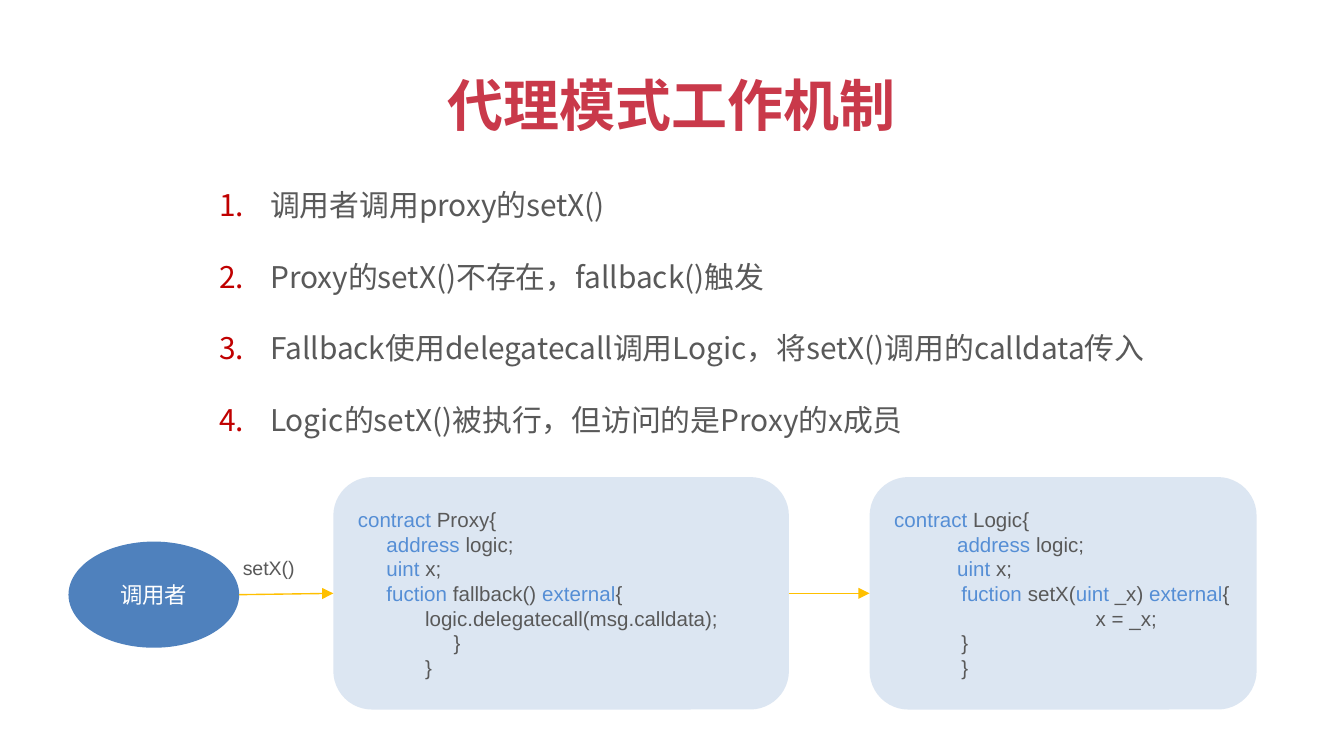
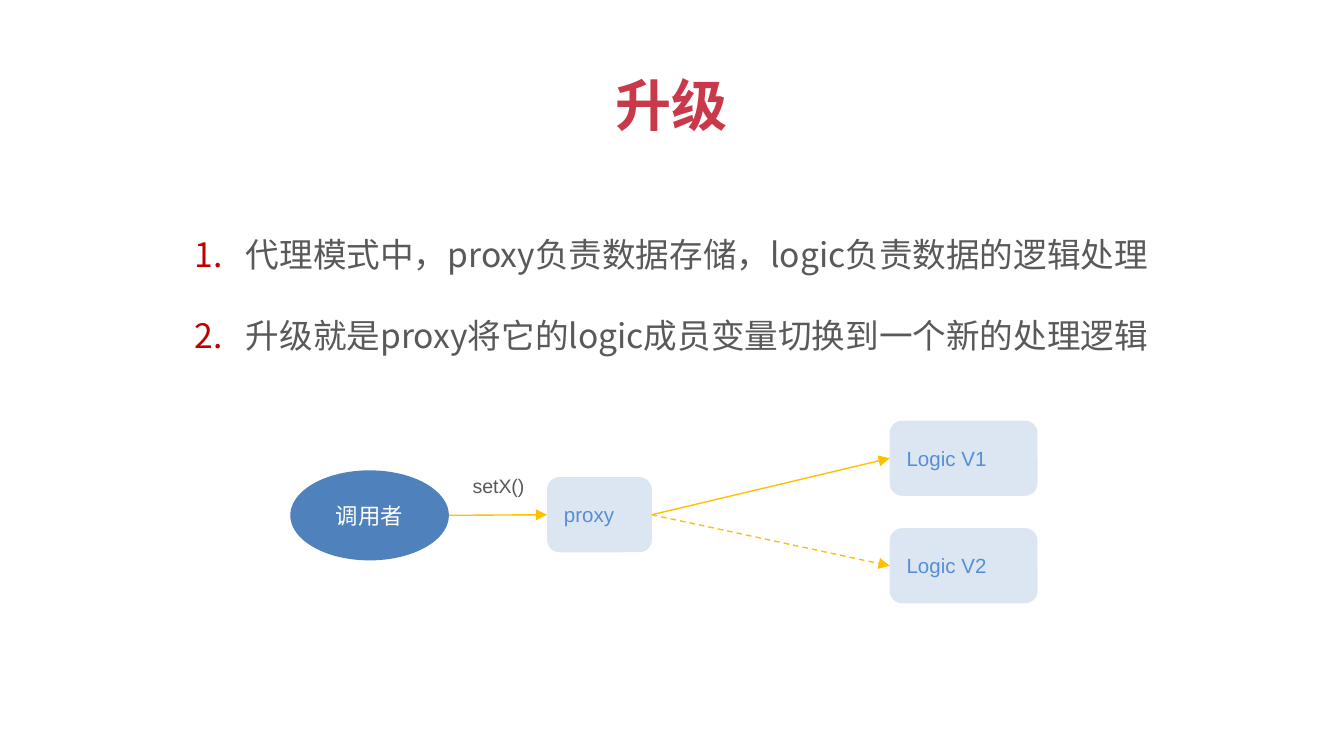
from lxml.etree import SubElement
from pptx import Presentation
from pptx.dml.color import RGBColor
from pptx.enum.dml import MSO_LINE
from pptx.enum.shapes import MSO_CONNECTOR, MSO_SHAPE
from pptx.enum.text import MSO_ANCHOR, MSO_AUTO_SIZE, PP_ALIGN
from pptx.oxml.ns import qn
from pptx.util import Inches, Pt

# Shared look
CJK = "Noto Sans CJK SC"
LATIN = "Arial"
RED, NUMBER_RED, GREY = "C9394A", "C00000", "595959"
BLUE, PALE, KEYWORD = "4F81BD", "DCE6F2", "558ED5"
AMBER, WHITE = "FFC000", "FFFFFF"

# Code lines as (indent, text); keywords stand between bars
PROXY_CODE = [
    (0, "|contract| Proxy{"),
    (0, "     |address| logic;"),
    (0, "     |uint| x;"),
    (0, "     |fuction| fallback() |external|{"),
    (0.5, "logic.delegatecall(msg.calldata);"),
    (0.5, "     }"),
    (0.5, "}"),
]
LOGIC_CODE = [
    (0, "|contract| Logic{"),
    (0, "           |address| logic;"),
    (0, "           |uint| x;"),
    (0.5, "|fuction |setX(|uint| _x) |external|{"),
    (1.5, "x = _x;"),
    (0.5, "}"),
    (0.5, "}"),
]


def rgb(value):
    return RGBColor.from_string(value)


def box(left, top, width, height):
    return [Inches(v) for v in (left, top, width, height)]


def set_indent(paragraph, left, first=0):
    properties = paragraph._p.get_or_add_pPr()
    properties.set("marL", str(Inches(left)))
    properties.set("indent", str(Inches(first)))


def add_number(paragraph):
    properties = paragraph._p.get_or_add_pPr()
    color = SubElement(properties, qn("a:buClr"))
    SubElement(color, qn("a:srgbClr"), val=NUMBER_RED)
    SubElement(properties, qn("a:buFont"), typeface=CJK)
    SubElement(properties, qn("a:buAutoNum"), type="arabicPeriod")


def write(frame, lines, size, color=GREY, font=LATIN, bold=False,
          align=PP_ALIGN.LEFT, spacing=None, numbered=False):
    """Fill a frame with (indent, text) lines; bars enclose keywords."""
    frame.auto_size = MSO_AUTO_SIZE.NONE
    frame.word_wrap = True
    frame.vertical_anchor = MSO_ANCHOR.MIDDLE
    for number, (indent, text) in enumerate(lines):
        paragraph = frame.add_paragraph() if number else frame.paragraphs[0]
        if numbered:
            add_number(paragraph)
            set_indent(paragraph, indent, -0.38)
        elif indent:
            set_indent(paragraph, indent)
        paragraph.alignment = align
        paragraph.space_before = Pt(0)
        if spacing:
            paragraph.line_spacing = spacing
        for part, piece in enumerate(text.split("|")):
            if not piece:
                continue
            run = paragraph.add_run()
            run.text = piece
            run.font.size = Pt(size)
            run.font.bold = bold
            run.font.color.rgb = rgb(KEYWORD if part % 2 else color)
            run.font.name = font
            SubElement(run._r.get_or_add_rPr(), qn("a:ea"), typeface=CJK)


def place(shape, area):
    shape.left, shape.top, shape.width, shape.height = area


def add_page(deck, title, title_area, steps, steps_area, steps_size):
    page = deck.slides.add_slide(deck.slide_layouts[1])
    heading, body = page.shapes.title, page.placeholders[1]
    place(heading, title_area)
    write(heading.text_frame, [(0, title)], 30, color=RED, font=CJK,
          bold=True, align=PP_ALIGN.CENTER)
    heading.text_frame.word_wrap = False
    place(body, steps_area)
    write(body.text_frame, [(0.67, step) for step in steps], steps_size,
          font=CJK, align=PP_ALIGN.JUSTIFY, spacing=2.0, numbered=True)
    return page


def add_node(page, kind, area, fill, lines, size, **style):
    node = page.shapes.add_shape(kind, *area)
    node.shadow.inherit = False
    node.fill.solid()
    node.fill.fore_color.rgb = rgb(fill)
    node.line.fill.background()
    write(node.text_frame, lines, size, **style)
    return node


def add_caller(page, area):
    return add_node(page, MSO_SHAPE.OVAL, area, BLUE, [(0, "调用者")], 12,
                    color=WHITE, align=PP_ALIGN.CENTER)


def add_contract(page, area, lines):
    return add_node(page, MSO_SHAPE.ROUNDED_RECTANGLE, area, PALE, lines, 11)


def add_arrow(page, source, target, dashed=False):
    """Arrow from the right side of one node to the left side of the next."""
    arrow = page.shapes.add_connector(
        MSO_CONNECTOR.STRAIGHT,
        source.left + source.width, source.top + source.height // 2,
        target.left, target.top + target.height // 2)
    arrow.line.color.rgb = rgb(AMBER)
    arrow.line.width = Pt(0.75)
    if dashed:
        arrow.line.dash_style = MSO_LINE.DASH
    SubElement(arrow.line._get_or_add_ln(), qn("a:tailEnd"), type="triangle")
    SubElement(arrow._element.spPr, qn("a:effectLst"))


def add_call_label(page, left, top):
    label = page.shapes.add_textbox(*box(left, top, 1.26, 0.39))
    write(label.text_frame, [(0, "setX()")], 10.5, align=PP_ALIGN.CENTER)


def build_mechanism(deck):
    page = add_page(deck, "代理模式工作机制", box(3.2, 0.47, 3.59, 0.61), [
        "调用者调用proxy的setX()",
        "Proxy的setX()不存在，fallback()触发",
        "Fallback使用delegatecall调用Logic，将setX()调用的calldata传入",
        "Logic的setX()被执行，但访问的是Proxy的x成员",
    ], box(1.24, 1.91, 8.11, 0.56), 16)
    caller = add_caller(page, box(0.51, 4.03, 1.27, 0.79))
    proxy = add_contract(page, box(2.48, 3.55, 3.39, 1.73), PROXY_CODE)
    logic = add_contract(page, box(6.47, 3.55, 2.88, 1.73), LOGIC_CODE)
    add_arrow(page, caller, proxy)
    add_arrow(page, proxy, logic)
    add_call_label(page, 1.37, 4.03)


def build_upgrade(deck):
    page = add_page(deck, "升级", box(4.48, 0.47, 1.04, 0.61), [
        "代理模式中，proxy负责数据存储，logic负责数据的逻辑处理",
        "升级就是proxy将它的logic成员变量切换到一个新的处理逻辑",
    ], box(1.06, 1.76, 8.11, 0.56), 18)
    caller = add_caller(page, box(2.16, 3.5, 1.18, 0.67))
    proxy = add_contract(page, box(4.07, 3.55, 0.78, 0.56), [(0, "|proxy|")])
    add_arrow(page, caller, proxy)
    for version, top in enumerate((3.13, 3.93), start=1):
        logic = add_contract(page, box(6.62, top, 1.1, 0.56),
                             [(0, f"|Logic V{version}|")])
        add_arrow(page, proxy, logic, dashed=version == 2)
    add_call_label(page, 3.08, 3.42)


def main():
    deck = Presentation()
    # Widescreen, 16 to 9
    deck.slide_width = Inches(10)
    deck.slide_height = Inches(10) * 9 // 16
    build_mechanism(deck)
    build_upgrade(deck)
    deck.save("out.pptx")


if __name__ == "__main__":
    main()
